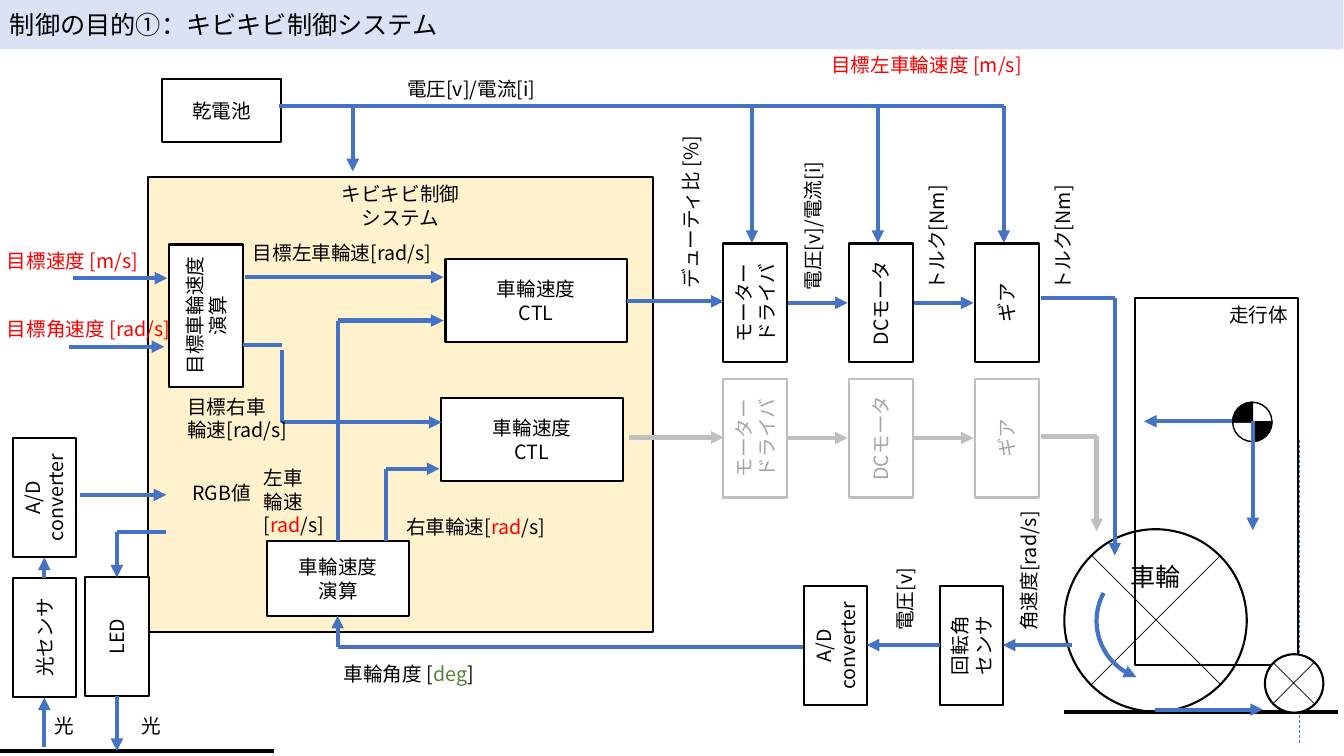
from itertools import pairwise

from lxml.etree import SubElement
from pptx import Presentation
from pptx.dml.color import RGBColor
from pptx.enum.dml import MSO_LINE
from pptx.enum.shapes import MSO_CONNECTOR, MSO_SHAPE
from pptx.enum.text import MSO_ANCHOR, PP_ALIGN
from pptx.oxml.ns import qn
from pptx.util import Cm, Pt

FONT = "Noto Sans CJK JP"
COLORS = {
    "black": "000000", "white": "FFFFFF", "blue": "4472C4", "red": "FF0000",
    "green": "548235", "cream": "FFF2CC", "pale": "DAE3F3",
    "silver": "BFBFBF", "gray": "A6A6A6",
}
TOP, MIDDLE = MSO_ANCHOR.TOP, MSO_ANCHOR.MIDDLE
UPRIGHT = (1.18, 0.63)
CONTROLLER = (1.8, 0.82)
CALCULATOR = (1.41, 0.74)
POWER_Y = 1.05

BACK_BOXES = [
    ("system", "キビキビ制御\nシステム", (1.47, 1.76, 5.01, 4.51), {"fill": "cream", "anchor": TOP}),
    ("title", "制御の目的①：キビキビ制御システム", (0, 0, 13.33, 0.49),
     {"fill": "pale", "outline": None, "size": 18, "align": PP_ALIGN.LEFT}),
    ("wheel", "車輪", (10.56, 5.25, 1.81, 1.81),
     {"shape": MSO_SHAPE.OVAL, "size": 18, "anchor": TOP}),
]
FRONT_BOXES = [
    ("body", "走行体", (11.26, 2.96, 1.62, 3.64), {"fill": None, "anchor": TOP, "align": PP_ALIGN.RIGHT}),
    ("caster", "", (12.55, 6.49, 0.58, 0.58), {"shape": MSO_SHAPE.OVAL}),
    ("angle sensor", "回転角\nセンサ", (9.05, 6.09, *UPRIGHT), {"turn": 270}),
    ("angle converter", "A/D\nconverter", (7.7, 6.09, *UPRIGHT), {"turn": 270}),
    ("battery", "乾電池", (1.61, 0.78, *UPRIGHT), {}),
    ("light sensor", "光センサ", (-0.15, 6.01, *UPRIGHT), {"turn": 270}),
    ("led", "LED", (0.57, 6, *UPRIGHT), {"turn": 270}),
    ("light converter", "A/D\nconverter", (-0.15, 4.62, *UPRIGHT), {"turn": 270}),
    ("target", "目標車輪速度\n演算", (1.34, 2.76, *CALCULATOR), {"turn": 270}),
    ("left controller", "車輪速度\nCTL", (4.42, 2.57, *CONTROLLER), {}),
    ("right controller", "車輪速度\nCTL", (4.38, 3.95, *CONTROLLER), {}),
    ("wheel speed", "車輪速度\n演算", (2.65, 5.37, *CALCULATOR), {}),
]
ACTUATORS = [("driver", "モーター\nドライバ"), ("motor", "DCモータ"), ("gear", "ギア")]
ACTUATOR_LEFT, ACTUATOR_STEP = 6.9, 1.25
ACTUATOR_ROWS = [
    ("left", 2.69, {"fill": "white"}, "blue"),
    ("right", 4.03, {"fill": None, "outline": "silver", "ink": "gray"}, "silver"),
]
GROUND = {"color": "black", "width": 3, "arrow": False}
SPOKE = {"color": "black", "width": 0.5, "arrow": False}
BACK_LINES = [
    ([(10.56, 7.06), (13.28, 7.06)], GROUND),
    ([(0, 7.45), (2.72, 7.45)], GROUND),
    ([(10.83, 6.79), (12.11, 5.51)], SPOKE),
    ([(10.83, 5.51), (12.11, 6.79)], SPOKE),
    ([(12.89, 7.37), (12.89, 4.37)], {"width": 0.5, "arrow": False, "dash": MSO_LINE.DASH}),
    ([(12.43, 4.18), (11.35, 4.18)], {}),
]
FRONT_LINES = [
    ([(12.63, 6.98), (13.04, 6.57)], SPOKE),
    ([(12.63, 6.57), (13.04, 6.98)], SPOKE),
    ([(11.46, 7.04), (12.53, 7.04)], {}),
    ([(12.43, 4.18), (12.43, 5.26)], {}),
    ([(10.33, 4.33), (10.88, 4.33), (10.88, 5.27)], {"color": "silver"}),
    ([(10.33, 2.96), (11.06, 2.96), (11.06, 5.51)], {}),
    ([(10.64, 6.4), (9.95, 6.4)], {"end": ("angle sensor", 2)}),
    ([(9.33, 6.4), (8.6, 6.4)], {"begin": ("angle sensor", 0), "end": ("angle converter", 2)}),
    ([(7.97, 6.42), (3.35, 6.42), (3.35, 6.11)], {"end": ("wheel speed", 2)}),
    ([(6.22, 2.99), (7.18, 2.99)], {"begin": ("left controller", 3), "end": ("left driver", 0)}),
    ([(6.24, 4.34), (7.18, 4.34)], {"color": "silver", "end": ("right driver", 0)}),
    ([(0.68, 3.44), (1.63, 3.44)], {}),
    ([(0.72, 2.76), (1.66, 2.76)], {}),
    ([(0.79, 4.91), (1.65, 4.91)], {}),
    ([(1.16, 6.9), (1.16, 7.45)], {"begin": ("led", 1)}),
    ([(0.44, 7.41), (0.44, 6.92)], {"end": ("light sensor", 1)}),
    ([(0.44, 5.73), (0.44, 5.53)], {"begin": ("light sensor", 3), "end": ("light converter", 1)}),
    ([(1.65, 5.28), (1.16, 5.28), (1.16, 5.73)], {"end": ("led", 3)}),
    ([(2.43, 2.75), (4.4, 2.75)], {}),
    ([(2.41, 3.42), (2.8, 3.42)], {"arrow": False}),
    ([(2.8, 3.47), (2.8, 4.19), (4.38, 4.19)], {}),
    ([(3.83, 5.37), (3.83, 4.65), (4.36, 4.65)], {}),
    ([(3.35, 5.37), (3.35, 3.18), (4.4, 3.18)], {"begin": ("wheel speed", 0)}),
]
POWER_DROPS = [(3.5, 1.7), (7.46, 2.41), (8.71, 2.41), (9.96, 2.41)]
RED_LABELS = [
    ("目標速度 [m/s]", (-0.03, 2.41, 2.42, 0.35), {"ink": "red"}),
    ("目標角速度 [rad/s]", (-0.03, 3.09, 2.24, 0.35), {"ink": "red"}),
    ("目標左車輪速度 [m/s]", (8.15, 0.47, 2.42, 0.35), {"ink": "red"}),
]
LABELS = [
    ("角速度[rad/s]", (9.46, 5.46, 1.5, 0.29), {"turn": 270}),
    ("電圧[v]", (8.23, 5.46, 1.5, 0.29), {"turn": 270}),
    ("電圧[v]/電流[i]", (7.23, 2.02, 1.67, 0.25), {"turn": 270}),
    ("トルク[Nm]", (8.62, 2.2, 1.34, 0.21), {"turn": 270}),
    ("トルク[Nm]", (9.87, 2.2, 1.34, 0.21), {"turn": 270}),
    ("デューティ比 [%]", (5.91, 1.89, 1.89, 0.25), {"turn": 270}),
    ("車輪角度 [deg]", (3.31, 6.54, 1.71, 0.29), {"accent": ("deg", "green")}),
    ("電圧[v]/電流[i]", (3.94, 0.75, 1.67, 0.25), {}),
    ("RGB値", (1.81, 4.71, 1.13, 0.35), {}),
    ("光", (1.31, 7.02, 0.56, 0.35), {}),
    ("光", (0.44, 7.02, 0.56, 0.35), {}),
    ("右車輪速[rad/s]", (3.93, 5.08, 1.71, 0.29), {"accent": ("rad", "red")}),
    ("左車\n輪速\n[rad/s]", (2.52, 4.64, 0.87, 0.67), {"accent": ("rad", "red")}),
    ("目標右車\n輪速[rad/s]", (1.76, 3.86, 1.34, 0.58), {}),
    ("目標左車輪速[rad/s]", (2.41, 2.25, 2.36, 0.51), {}),
]
MASS_CENTER = (12.23, 3.99, 0.39, 0.39)
QUADRANTS = [("black", 54.362, 0), (None, 215.828, 0), ("black", 54.362, 180)]
SPIN_ARC = ((10.88, 5.57, 1.18, 1.18), (65.569, 124.795))

deck = Presentation()
deck.slide_width, deck.slide_height = Cm(33.87), Cm(19.05)
page = deck.slides.add_slide(deck.slide_layouts[6])
boxes = {}


def lengths(inches):
    return [Cm(value * 2.54) for value in inches]


def rgb(name):
    return RGBColor.from_string(COLORS[name])


def write(box, text, size=14, ink="black", accent=("", ""), anchor=MIDDLE, align=PP_ALIGN.LEFT):
    frame = box.text_frame
    for key, value in {"word_wrap": True, "vertical_anchor": anchor}.items():
        setattr(frame, key, value)
    for index, words in enumerate(text.split("\n")):
        para = frame.paragraphs[0] if index == 0 else frame.add_paragraph()
        para.alignment = align
        word, tint = accent
        before, match, after = words.partition(word) if word else (words, "", "")
        for part, color in [(before, ink), (match, tint), (after, ink)]:
            if part:
                span = para.add_run()
                span.text = part
                span.font.color.rgb = rgb(color)
                for key, value in {"size": Pt(size), "name": FONT}.items():
                    setattr(span.font, key, value)
                SubElement(span.font._element, qn("a:ea"), typeface=FONT)


def draw_shape(kind, place, fill, outline, width=1.5, turn=0):
    box = page.shapes.add_shape(kind, *lengths(place))
    box.shadow.inherit = False
    box.rotation = turn
    for part, color in [(box.fill, fill), (box.line.fill, outline)]:
        if color:
            part.solid()
            part.fore_color.rgb = rgb(color)
        else:
            part.background()
    if outline:
        box.line.width = Pt(width)
    return box


def draw_box(name, text, place, style):
    style = {"align": PP_ALIGN.CENTER} | style
    shape = style.pop("shape", MSO_SHAPE.RECTANGLE)
    box = draw_shape(shape, place, style.pop("fill", "white"),
                     style.pop("outline", "black"), turn=style.pop("turn", 0))
    boxes[name] = box
    if text:
        write(box, text, **style)


def draw_label(text, place, style):
    box = page.shapes.add_textbox(*lengths(place))
    box.rotation = style.get("turn", 0)
    write(box, text, **{key: value for key, value in style.items() if key != "turn"})


def add_arrowhead(shape, end):
    SubElement(shape._element.spPr.find(qn("a:ln")), qn(end), type="triangle")


def draw_line(points, color="blue", width=3, arrow=True, dash=None, begin=None, end=None):
    segments = list(pairwise(points))
    for index, (start, stop) in enumerate(segments):
        first, last = index == 0, index == len(segments) - 1
        ends = lengths(start + stop)
        line = page.shapes.add_connector(MSO_CONNECTOR.STRAIGHT, *ends)
        if begin and first:
            line.begin_connect(boxes[begin[0]], begin[1])
        if end and last:
            line.end_connect(boxes[end[0]], end[1])
        for key, value in zip(("begin_x", "begin_y", "end_x", "end_y"), ends):
            setattr(line, key, value)
        line.line.color.rgb = rgb(color)
        line.line.width = Pt(width)
        if dash:
            line.line.dash_style = dash
        if arrow and last:
            add_arrowhead(line, "a:tailEnd")
        SubElement(line._element.spPr, qn("a:effectLst"))


for item in BACK_BOXES:
    draw_box(*item)
for points, style in BACK_LINES:
    draw_line(points, **style)
for item in RED_LABELS:
    draw_label(*item)
for item in FRONT_BOXES:
    draw_box(*item)

for fill, sweep, turn in QUADRANTS:
    quadrant = draw_shape(MSO_SHAPE.PIE, MASS_CENTER, fill, "black", 1, turn)
    quadrant.adjustments[0], quadrant.adjustments[1] = 0, sweep
arc = draw_shape(MSO_SHAPE.ARC, SPIN_ARC[0], None, "blue", 3)
arc.adjustments[0], arc.adjustments[1] = SPIN_ARC[1]
add_arrowhead(arc, "a:headEnd")

for side, top, style, color in ACTUATOR_ROWS:
    for index, (name, text) in enumerate(ACTUATORS):
        left = ACTUATOR_LEFT + index * ACTUATOR_STEP
        draw_box(f"{side} {name}", text, (left, top, *UPRIGHT), style | {"turn": 270})
    for index, ((source, _), (goal, _)) in enumerate(pairwise(ACTUATORS)):
        left, y = 7.82 + index * ACTUATOR_STEP, top + UPRIGHT[1] / 2
        draw_line([(left, y), (left + 0.59, y)], color,
                  begin=(f"{side} {source}", 2), end=(f"{side} {goal}", 0))

for points, style in FRONT_LINES:
    draw_line(points, **style)
start = 2.77
for x, bottom in POWER_DROPS:
    draw_line([(start, POWER_Y), (x, POWER_Y), (x, bottom)])
    start = x
for item in LABELS:
    draw_label(*item)

deck.save("out.pptx")
